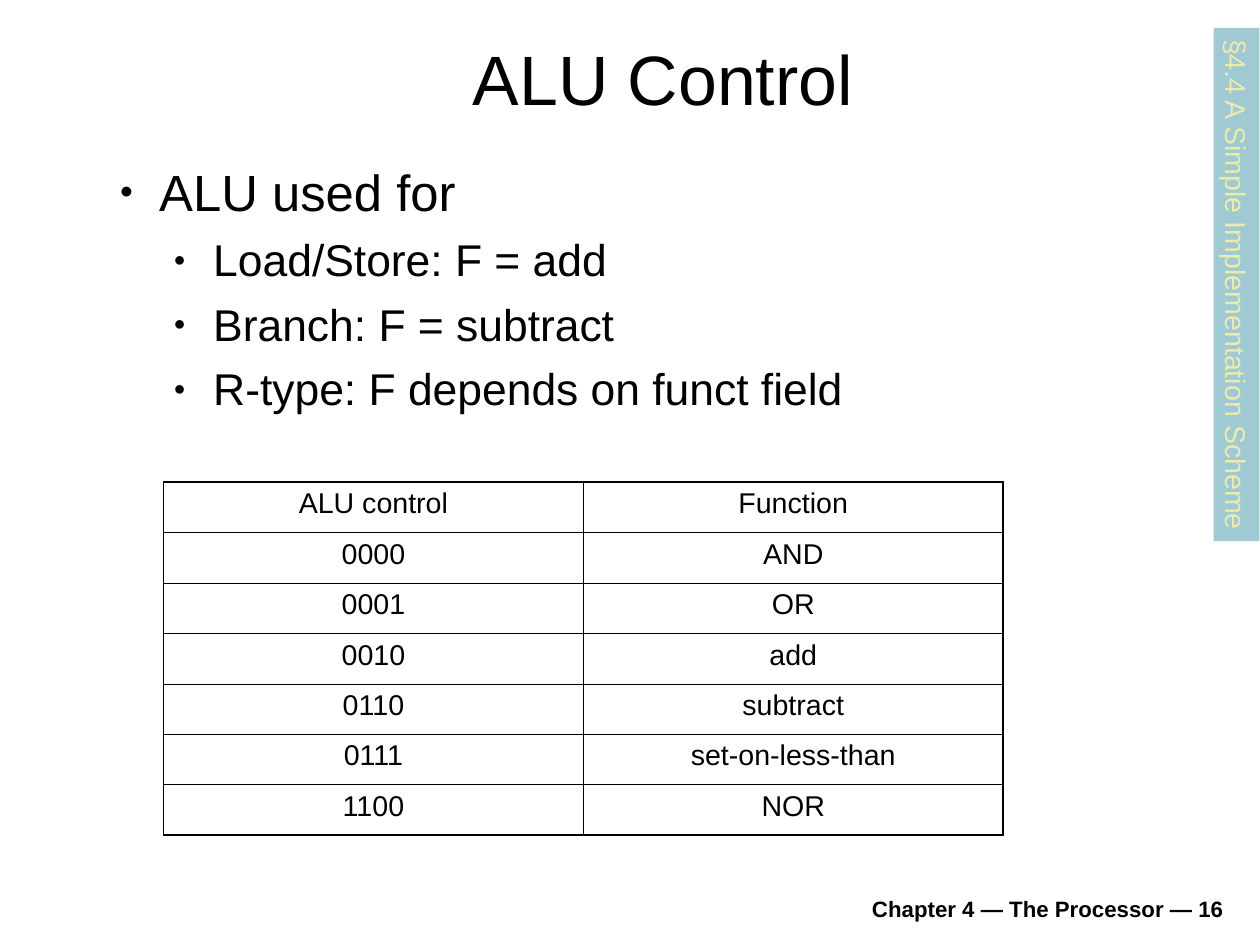
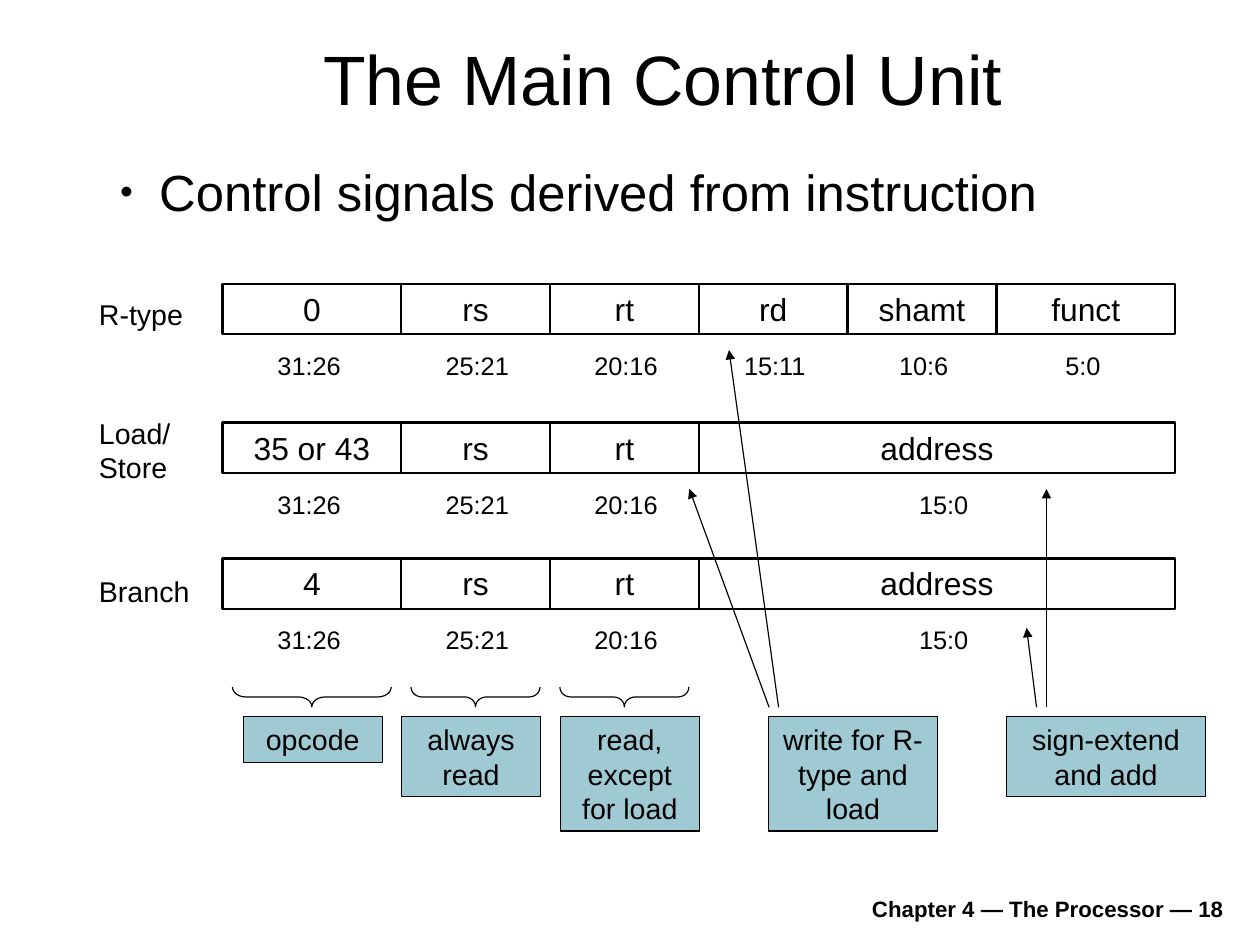
import pptx
import pptx.dml.color
import pptx.enum.shapes
import pptx.enum.text
import pptx.oxml.ns
import pptx.util
from lxml import etree

Pt = pptx.util.Pt
SHAPE = pptx.enum.shapes.MSO_SHAPE
ALIGN = pptx.enum.text.PP_ALIGN
ANCHOR = pptx.enum.text.MSO_ANCHOR

FONT = "Arial"
BLACK = "000000"
TEAL = "9FCAD3"
CREAM = "ECEAAC"
PAGE_WIDTH, PAGE_HEIGHT = 793.75, 595.25
TITLE_AREA = (59.25, 13, 717, 66)
FOOTER_AREA = (146.5, 553.5, 631.5, 31)
BIT_WIDTH = 18.75
FIELD_HEIGHT = 31.75
RANGE_SHIFTS = {5: 1, 6: -1.75, 16: 4.25}
BRACE_INSET = 6.25
BRACE_DEPTH = 12.5


def colour(code):
    return pptx.dml.color.RGBColor.from_string(code)


def add_xml(parent, tag, **attributes):
    return etree.SubElement(parent, pptx.oxml.ns.qn(tag), attributes)


def write(para, text, size=18, shade=BLACK, bold=False, align=ALIGN.LEFT, before=0):
    """Fill a paragraph; a newline in the text becomes a line break."""
    para.alignment = align
    para.space_before = Pt(before)
    for index, line in enumerate(text.split("\n")):
        if index:
            para.add_line_break()
        span = para.add_run()
        span.text = line
        span.font.name = FONT
        span.font.size = Pt(size)
        span.font.bold = bold
        span.font.color.rgb = colour(shade)


def add_box(page, area, text, fill=None, line=None, anchor=ANCHOR.TOP, wrap=True, **style):
    """Add a text box, or a rectangle when a fill or line is given."""
    place = [Pt(value) for value in area]
    if fill or line:
        box = page.shapes.add_shape(SHAPE.RECTANGLE, *place)
        box.shadow.inherit = False
        paint(box, fill, line)
    else:
        box = page.shapes.add_textbox(*place)
    box.text_frame.word_wrap = wrap
    box.text_frame.vertical_anchor = anchor
    write(box.text_frame.paragraphs[0], text, **style)
    return box


def paint(shape, fill=None, line=None):
    """Set a solid fill, or none, and a black outline of the given width, or none."""
    if fill:
        shape.fill.solid()
        shape.fill.fore_color.rgb = colour(fill)
    else:
        shape.fill.background()
    if line:
        shape.line.color.rgb = colour(BLACK)
        shape.line.width = Pt(line)
    else:
        shape.line.fill.background()


def add_page(deck, title, number):
    """Add a slide with the shared title and footer."""
    page = deck.slides.add_slide(deck.slide_layouts[6])
    add_box(page, TITLE_AREA, title, anchor=ANCHOR.BOTTOM, size=44, align=ALIGN.CENTER)
    add_box(page, FOOTER_AREA, f"Chapter 4 — The Processor — {number}",
            anchor=ANCHOR.BOTTOM, size=14, bold=True, align=ALIGN.RIGHT)
    return page


def add_bullets(page, area, items):
    """Add a bulleted list of (level, text) pairs."""
    box = page.shapes.add_textbox(*[Pt(value) for value in area])
    frame = box.text_frame
    frame.word_wrap = True
    for index, (level, text) in enumerate(items):
        para = frame.add_paragraph() if index else frame.paragraphs[0]
        para.level = level
        properties = para._p.get_or_add_pPr()
        properties.set("marL", str(Pt(34 * (level + 1))))
        properties.set("indent", str(Pt(-25)))
        add_xml(add_xml(properties, "a:buClr"), "a:srgbClr", val=BLACK)
        add_xml(properties, "a:buSzPct", val="45000")
        add_xml(properties, "a:buFont", typeface=FONT)
        add_xml(properties, "a:buChar", char="●")
        write(para, text, size=28 if level else 32, before=7 if index else 0)


def add_side_tab(page, area, text):
    """Add a tab whose text runs down the given upright area."""
    left, top, width, height = area
    shift = (height - width) / 2
    tab = add_box(page, (left - shift, top + shift, height, width), text,
                  fill=TEAL, wrap=False, shade=CREAM)
    tab.rotation = 90


def set_borders(cell, **widths):
    properties = cell._tc.get_or_add_tcPr()
    for side in "LRTB":
        line = add_xml(properties, f"a:ln{side}", w=str(Pt(widths[side])))
        add_xml(add_xml(line, "a:solidFill"), "a:srgbClr", val=BLACK)


def add_grid(page, area, rows):
    """Add a bordered table with equal rows and columns."""
    left, top, width, height = area
    last_row, last_column = len(rows) - 1, len(rows[0]) - 1
    table = page.shapes.add_table(last_row + 1, last_column + 1, Pt(left), Pt(top),
                                  Pt(width), Pt(height)).table
    table.first_row = table.horz_banding = False
    outer, header, inner = 1.08, 0.75, 0.45
    for row, texts in enumerate(rows):
        table.rows[row].height = Pt(height / len(rows))
        for column, text in enumerate(texts):
            table.columns[column].width = Pt(width / len(texts))
            cell = table.cell(row, column)
            set_borders(cell,
                        L=inner if column else outer,
                        R=outer if column == last_column else inner,
                        T={0: outer, 1: header}.get(row, inner),
                        B={0: header, last_row: outer}.get(row, inner))
            cell.fill.background()
            write(cell.text_frame.paragraphs[0], text, align=ALIGN.CENTER)


def field_span(left, bits):
    """Return the left edge and the number of bits of a range such as 31:26."""
    high, low = map(int, bits.split(":"))
    return left + (31 - high) * BIT_WIDTH, high - low + 1


def add_format(page, left, top, name, name_shift, fields):
    """Add one instruction format: its name, its fields and their bit ranges."""
    add_box(page, (left - 85, top + name_shift, 84, 29), name)
    for bits, text in fields.items():
        start, count = field_span(left, bits)
        width = count * BIT_WIDTH
        add_box(page, (start, top, width, FIELD_HEIGHT), text, line=1.5,
                size=20, align=ALIGN.CENTER)
        add_box(page, (start + RANGE_SHIFTS[count], top + 38, width, 26.5), bits,
                size=16, align=ALIGN.CENTER)


def add_brace(page, left, top, bits):
    """Add a brace that opens upwards below a field."""
    start, count = field_span(left, bits)
    width = count * BIT_WIDTH
    length = width - 2 * BRACE_INSET
    middle = start + width / 2
    brace = page.shapes.add_shape(
        SHAPE.LEFT_BRACE, Pt(middle - BRACE_DEPTH / 2),
        Pt(top + (BRACE_DEPTH - length) / 2), Pt(BRACE_DEPTH), Pt(length))
    brace.rotation = 270
    brace.adjustments[0] = length / 12 / BRACE_DEPTH
    brace.shadow.inherit = False
    paint(brace, line=0.75)


def add_note(page, left, top, width, lines, text):
    add_box(page, (left, top, width, 7.2 + 21.6 * lines), text, fill=TEAL, line=0.75,
            align=ALIGN.CENTER)


def add_arrow(page, *ends):
    arrow = page.shapes.add_connector(pptx.enum.shapes.MSO_CONNECTOR.STRAIGHT,
                                      *[Pt(value) for value in ends])
    arrow.line.color.rgb = colour(BLACK)
    arrow.line.width = Pt(0.75)
    add_xml(arrow.line._get_or_add_ln(), "a:tailEnd", type="triangle")
    add_xml(arrow._element.spPr, "a:effectLst")


def build_alu_control(deck):
    page = add_page(deck, "ALU Control", 16)
    add_bullets(page, (59.25, 97.5, 718, 207), [
        (0, "ALU used for"),
        (1, "Load/Store: F = add"),
        (1, "Branch: F = subtract"),
        (1, "R-type: F depends on funct field"),
    ])
    add_side_tab(page, (764.5, 17.5, 28.8, 323.4), "§4.4 A Simple Implementation Scheme")
    add_grid(page, (103, 303.75, 529, 222.25), [
        ("ALU control", "Function"),
        ("0000", "AND"),
        ("0001", "OR"),
        ("0010", "add"),
        ("0110", "subtract"),
        ("0111", "set-on-less-than"),
        ("1100", "NOR"),
    ])


def build_main_control(deck):
    page = add_page(deck, "The Main Control Unit", 18)
    add_bullets(page, (59.25, 97.5, 718, 60), [(0, "Control signals derived from instruction")])
    left = 140.25
    registers = {"25:21": "rs", "20:16": "rt"}
    address = {**registers, "15:0": "address"}
    add_format(page, left, 178.75, "R-type", 5, {
        "31:26": "0", **registers, "15:11": "rd", "10:6": "shamt", "5:0": "funct"})
    add_format(page, left, 266.25, "Load/\nStore", -8, {"31:26": "35 or 43", **address})
    add_format(page, left, 351.75, "Branch", 6.5, {"31:26": "4", **address})
    for bits in ("31:26", *registers):
        add_brace(page, left, 432.75, bits)
    for start, width, lines, text in (
            (153.25, 87.5, 1, "opcode"),
            (253, 87.5, 2, "always read"),
            (353, 87.5, 3, "read, except for load"),
            (484.25, 106.25, 3, "write for R-type and load"),
            (634.25, 125, 2, "sign-extend and add")):
        add_note(page, start, 451.5, width, lines, text)
    for start, end, tip in ((484.5, 434.25, 308), (490.5, 459.25, 220.5),
                            (653, 646.75, 395.5), (659.25, 659.25, 308)):
        add_arrow(page, start, 445.5, end, tip)


def main():
    deck = pptx.Presentation()
    deck.slide_width, deck.slide_height = Pt(PAGE_WIDTH), Pt(PAGE_HEIGHT)
    build_alu_control(deck)
    build_main_control(deck)
    deck.save("out.pptx")


if __name__ == "__main__":
    main()
